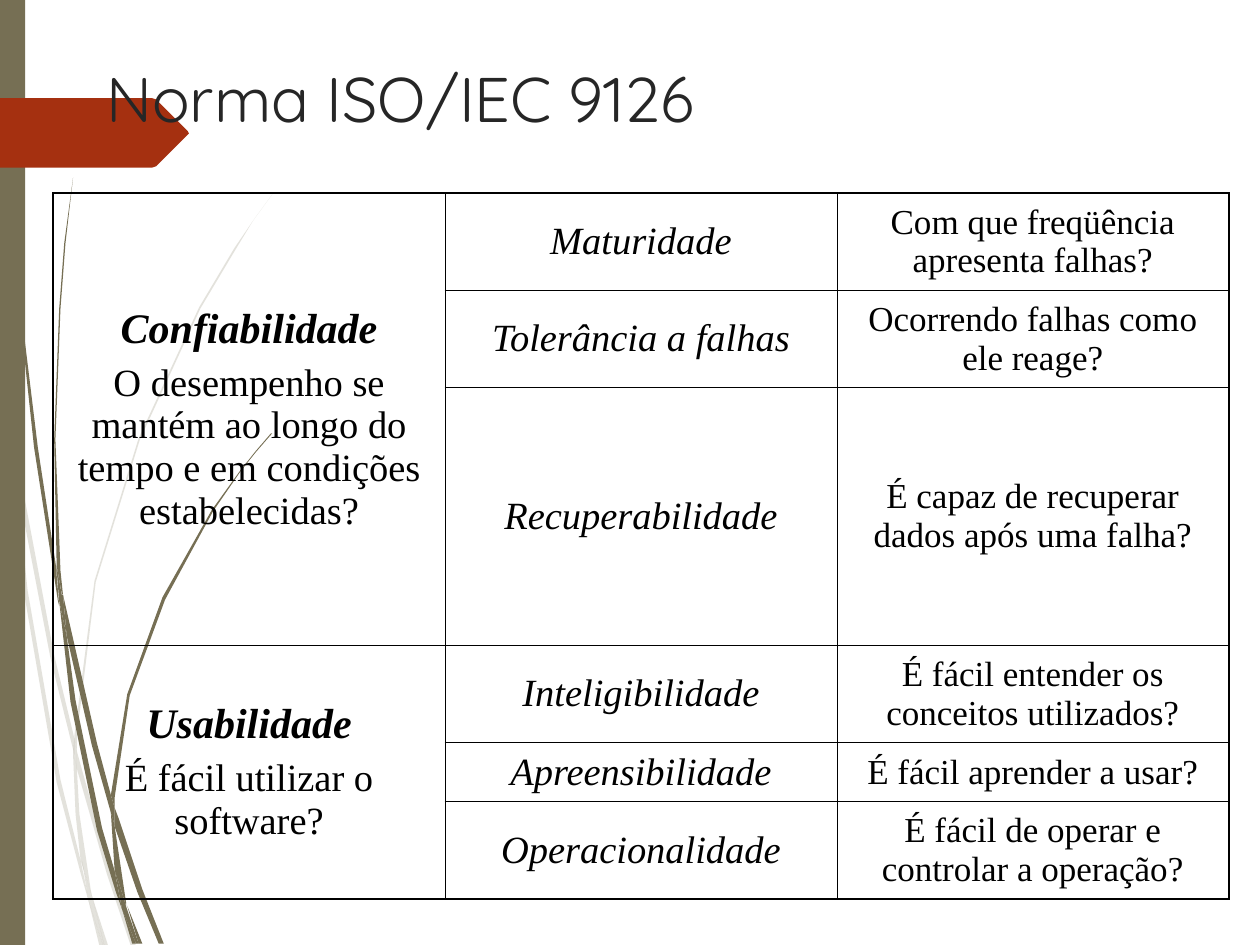
from pptx import Presentation
from pptx.dml.color import RGBColor
from pptx.enum.shapes import MSO_SHAPE
from pptx.enum.text import MSO_ANCHOR, PP_ALIGN
from pptx.oxml import parse_xml
from pptx.oxml.ns import nsdecls, qn
from pptx.util import Cm, Pt
from lxml.etree import SubElement

UNIT = Cm(0.0254)
OLIVE, RUST, DARK, BLACK = "766F54", "A53010", "262626", "000000"

PALE = [
    [(8, 350), (6, 322), (0, 282), (0, 299), (7, 344)],
    [(40, 522), (59, 599), (59, 586), (43, 520), (10, 345), (12, 376)],
    [(64, 607), (61, 596), (61, 610), (85, 694), (104, 751), (108, 751), (88, 692)],
    [(83, 751), (86, 751), (73, 711)],
    [(64, 683), (48, 619), (22, 469), (12, 376), (8, 350), (19, 470), (45, 621),
     (64, 693), (70, 714), (69, 707)],
    [(58, 599), (60, 646), (64, 683), (67, 692), (73, 711), (72, 706), (63, 646),
     (61, 610), (61, 608)],
    [(61, 584), (76, 462), (111, 349), (159, 245), (187, 198), (201, 175), (217, 153),
     (201, 175), (186, 197), (158, 244), (110, 348), (75, 461), (59, 584), (59, 586),
     (61, 596)],
    [(70, 714), (79, 751), (82, 751)],
    [(61, 608), (61, 610), (61, 596), (59, 586), (58, 599)],
    [(67, 692), (65, 683), (69, 707), (70, 714), (82, 751), (83, 751), (73, 711)],
]

DEEP = [
    [(5, 110), (14, 233), (27, 355), (46, 477), (47, 481), (45, 457), (45, 453),
     (30, 355), (15, 232), (6, 109), (4, 48), (3, 0), (2, 0), (3, 48)],
    [(73, 592), (88, 645), (88, 633), (88, 631), (77, 590), (50, 472), (53, 505)],
    [(94, 649), (91, 641), (91, 656), (109, 708), (126, 749), (130, 749), (113, 706)],
    [(91, 691), (81, 657), (60, 556), (53, 505), (47, 477), (56, 557), (77, 659),
     (92, 708), (97, 722), (96, 717)],
    [(50, 472), (48, 453), (44, 349), (48, 245), (52, 193), (58, 141), (51, 193),
     (47, 245), (43, 349), (45, 449), (49, 471)],
    [(110, 749), (113, 749), (101, 719)],
    [(47, 477), (53, 505), (50, 472), (49, 472), (45, 449), (45, 453)],
    [(91, 633), (103, 552), (131, 476), (169, 406), (191, 374), (203, 359), (216, 344),
     (215, 344), (203, 358), (191, 373), (168, 405), (129, 474), (101, 551), (88, 631),
     (91, 641)],
    [(97, 722), (105, 749), (108, 749)],
    [(88, 645), (91, 691), (96, 706), (100, 719), (100, 716), (91, 656), (90, 651)],
    [(88, 645), (90, 651), (91, 656), (91, 641), (88, 631), (88, 633)],
    [(96, 706), (91, 691), (96, 717), (97, 722), (108, 749), (110, 749), (100, 719)],
]

ARROW = [(0, 0), (121, 0), (124, 1), (149, 26), (149.5, 27.5), (149, 29),
         (124, 54), (121, 55), (0, 55)]

THEMES = [
    ("Confiabilidade",
     "O desempenho se mantém ao longo do tempo e em condições estabelecidas?",
     [("Maturidade", "Com que freqüência apresenta falhas?"),
      ("Tolerância a falhas", "Ocorrendo falhas como ele reage?"),
      ("Recuperabilidade", "É capaz de recuperar dados após uma falha?")]),
    ("Usabilidade", "É fácil utilizar o software?",
     [("Inteligibilidade", "É fácil entender os conceitos utilizados?"),
      ("Apreensibilidade", "É fácil aprender a usar?"),
      ("Operacionalidade", "É fácil de operar e controlar a operação?")]),
]
ROWS = [1.96, 1.96, 5.2, 1.96, 1.19, 1.96]


def paint(fill, color):
    fill.solid()
    fill.fore_color.rgb = RGBColor.from_string(color)


def finish(shape, color):
    paint(shape.fill, color)
    shape.line.fill.background()
    shape.shadow.inherit = False


def outline(shapes, points, left, top, color):
    pen = shapes.build_freeform(*points[0], scale=UNIT)
    pen.add_line_segments(points[1:], close=True)
    shape = pen.convert_to_shape(left, top)
    finish(shape, color)
    return shape


def wisps(slide, blades, left, top, alpha=100):
    group = slide.shapes.add_group_shape()
    for points in blades:
        blade = outline(group.shapes, points, left, top, OLIVE)
        if alpha < 100:
            tone = blade._element.spPr.find(qn("a:solidFill"))[0]
            SubElement(tone, qn("a:alpha")).set("val", str(alpha * 1000))


def margin(slide, left, top, width, height):
    bar = slide.shapes.add_shape(MSO_SHAPE.RECTANGLE, left, top, width, height)
    finish(bar, OLIVE)
    outline(slide.shapes, ARROW, left, top + Cm(1.98), RUST)


def style(para, text, font, size, color, bold=False, italic=False):
    para.text = text
    para.font.name = font
    para.font.size = Pt(size)
    para.font.bold = bold
    para.font.italic = italic
    paint(para.font.fill, color)


def title(slide, left, top, width, height):
    frame = slide.shapes.add_textbox(left, top, width, height).text_frame
    frame.word_wrap = True
    style(frame.paragraphs[0], "Norma ISO/IEC 9126", "Quicksand", 36, DARK)


def border(cell, sides):
    props = cell._tc.get_or_add_tcPr()
    for side, outer in sides.items():
        width = Pt(1.08 if outer else 0.45)
        props.append(parse_xml(
            f'<a:ln{side} {nsdecls("a")} w="{width}"><a:solidFill>'
            f'<a:srgbClr val="{BLACK}"/></a:solidFill></a:ln{side}>'))
    cell.fill.background()


def write(cell, *lines):
    cell.vertical_anchor = MSO_ANCHOR.MIDDLE
    frame = cell.text_frame
    for i, (text, size, bold, italic) in enumerate(lines):
        para = frame.add_paragraph() if i else frame.paragraphs[0]
        para.alignment = PP_ALIGN.CENTER
        if i:
            para.space_before = Pt(5.5)
        style(para, text, "Times New Roman", size, BLACK, bold, italic)


def matrix(slide, left, top, width, height):
    count = len(ROWS)
    grid = slide.shapes.add_table(count, 3, left, top, width, height).table
    grid.first_row = grid.horz_banding = False
    for row, size in zip(grid.rows, ROWS):
        row.height = Cm(size)
    start = 0
    for name, query, items in THEMES:
        end = start + len(items)
        head = grid.cell(start, 0)
        head.merge(grid.cell(end - 1, 0))
        write(head, (name, 24, True, True), (query, 22, False, False))
        for r, (term, ask) in enumerate(items, start):
            write(grid.cell(r, 1), (term, 22, False, True))
            write(grid.cell(r, 2), (ask, 20, False, False))
            for c in range(3):
                last = end if c == 0 else r + 1
                border(grid.cell(r, c), {"L": c == 0, "R": c == 2,
                                         "T": r == 0, "B": last == count})
        start = end


def main():
    deck = Presentation()
    deck.slide_width, deck.slide_height = Cm(25.4), Cm(19.05)
    slide = deck.slides.add_slide(deck.slide_layouts[6])
    wisps(slide, PALE, 0, 0, 20)
    wisps(slide, DEEP, 0, 0)
    margin(slide, 0, 0, Cm(0.51), Cm(19.05))
    title(slide, Cm(1.9), Cm(1.07), Cm(21.6), Cm(3.18))
    matrix(slide, Cm(1.07), Cm(3.89), Cm(23.7), Cm(sum(ROWS)))
    deck.save("out.pptx")


if __name__ == "__main__":
    main()
